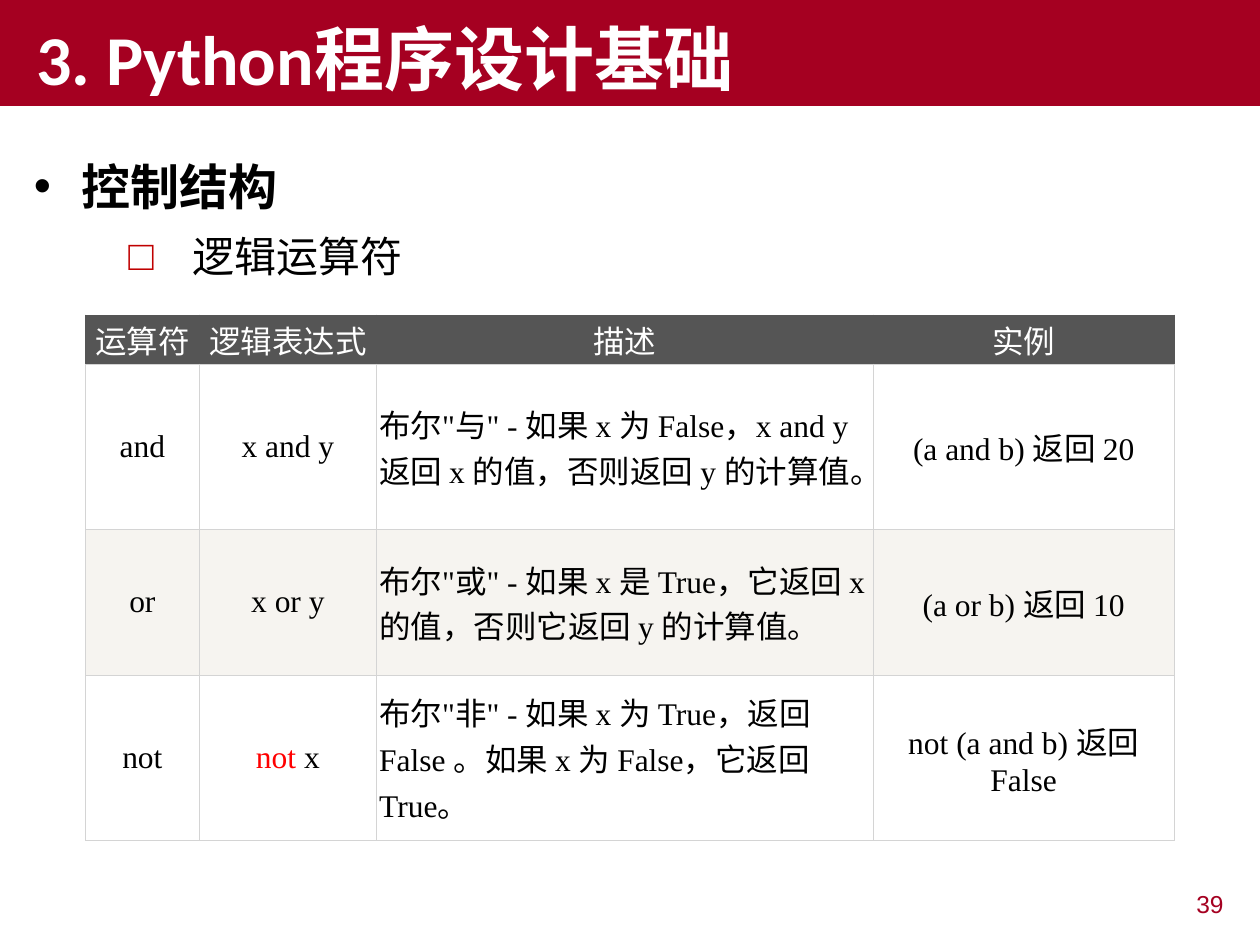
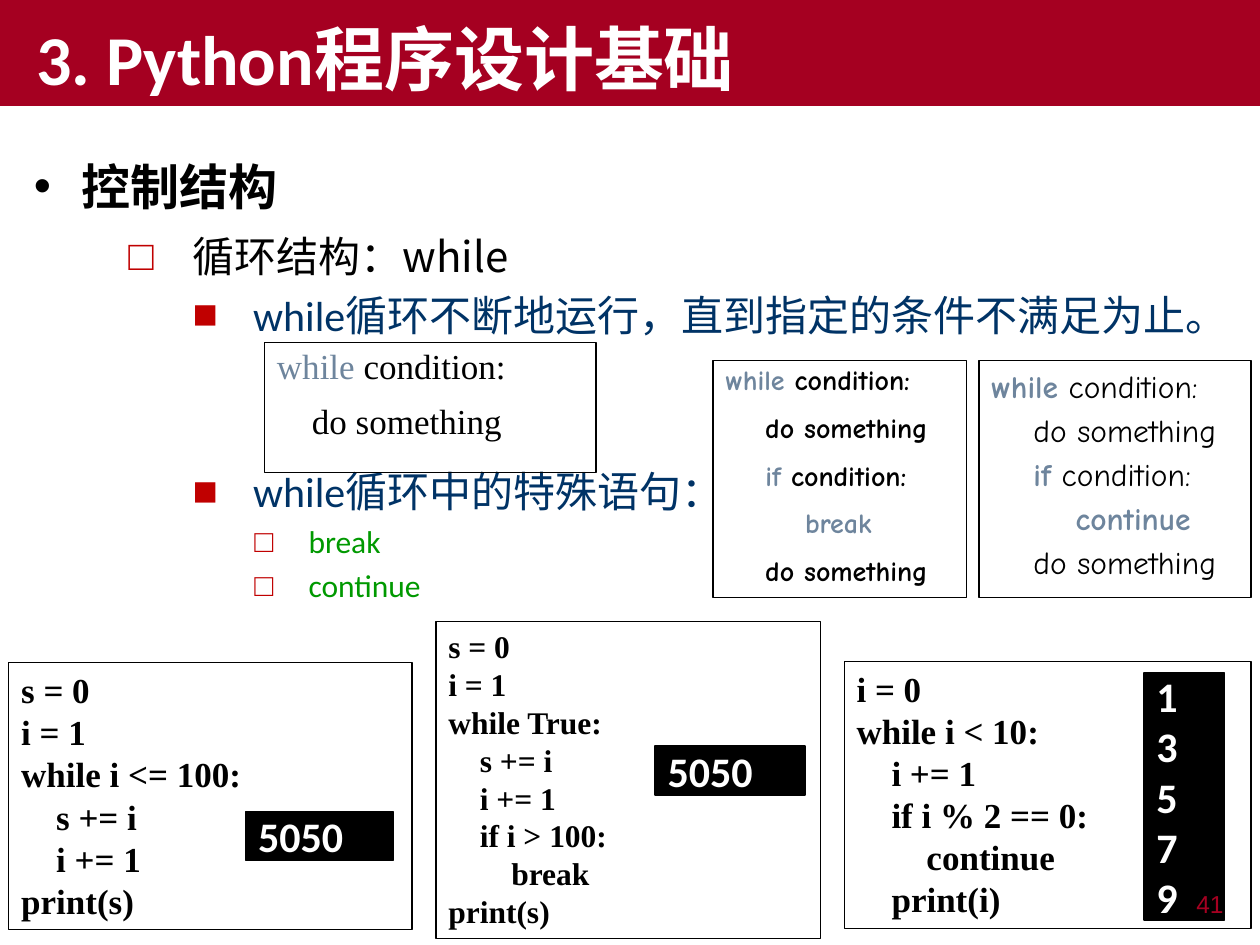
from lxml.etree import SubElement
from pptx import Presentation
from pptx.dml.color import RGBColor
from pptx.enum.shapes import MSO_SHAPE as Preset
from pptx.enum.text import MSO_ANCHOR as Anchor, PP_ALIGN as Align
from pptx.oxml.ns import qn
from pptx.util import Inches, Pt

CRIMSON, BULLET, BLACK, WHITE = "A50021", "C00000", "000000", "FFFFFF"
NAVY, GREEN, STEEL, RED = "003366", "009900", "6E859D", "FF0000"
HEADER, RULE, STRIPE = "555555", "D4D4D4", "F6F4F0"
HAN, SANS, SERIF, COMIC = "Noto Sans CJK SC", "Calibri", "Times New Roman", "Comic Neue"

CHAPTER = "3. Python程序设计基础"
SECTION = "控制结构"

TITLE = dict(font=SANS, size=40, color=WHITE, bold=True, indent=(0, 0.19))
HEADING = dict(font=HAN, size=28, bold=True, indent=(0.38, -0.38), bullet=("•", BLACK))
TOPIC = dict(font=HAN, size=24, indent=(0.51, -0.51), bullet=("□", BULLET))
POINT = dict(font=SANS, east=SANS, size=24, color=NAVY, level=1, before=4.8,
             indent=(0.99, -0.48), bullet=("■", BULLET))
POINT_AFTER_CODE = POINT | dict(before=72)
KEYWORD = dict(font=SANS, east=SANS, size=18, color=GREEN, level=2, before=3.6,
               indent=(1.43, -0.43), bullet=("□", BULLET))
PAGE = dict(font="Arial", size=14, color=CRIMSON, align=Align.RIGHT)
CELL = dict(font=SERIF, size=18)
OUTPUT = dict(font=SANS, size=24, color=WHITE, bold=True)
PROGRAM = dict(font=SERIF, size=20, bold=True, spacing=Pt(24))
PROGRAM_SMALL = PROGRAM | dict(size=18, spacing=Pt(21.6))
SYNTAX = dict(font=SERIF, size=20, spacing=0.9, before=10, accent=dict(color=STEEL))
SYNTAX_BREAK = SYNTAX | dict(font=COMIC, size=16, bold=True)
SYNTAX_CONTINUE = dict(font=COMIC, size=18, before=3.6, accent=dict(color=STEEL, bold=True))

COLUMNS = [0.9, 1.41, 3.94, 2.39]
ROWS = [0.39, 1.31, 1.16, 1.31]
OPERATORS = [
    ["运算符", "逻辑表达式", "描述", "实例"],
    ["and", "x and y",
     '布尔"与" - 如果 x 为 False，x and y 返回 x 的值，否则返回 y 的计算值。',
     "(a and b) 返回 20"],
    ["or", "x or y",
     '布尔"或" - 如果 x 是 True，它返回 x 的值，否则它返回 y 的计算值。',
     "(a or b) 返回 10"],
    ["not", "not x",
     '布尔"非" - 如果 x 为 True，返回 False 。如果 x 为 False，它返回 True。',
     "not (a and b) 返回 False"],
]
NEGATION = "not x"

WHILE_TOPICS = [
    ("循环结构：while", TOPIC),
    ("while循环不断地运行，直到指定的条件不满足为止。", POINT),
    ("while循环中的特殊语句：", POINT_AFTER_CODE),
    ("break", KEYWORD),
    ("continue", KEYWORD),
]

CODE_BOXES = [
    ((2.1, 2.72, 2.63, 1.03), SYNTAX, """while condition:
    do something"""),
    ((7.77, 2.86, 2.16, 1.88), SYNTAX_CONTINUE, """while condition:
    do something
    if condition:
        continue
    do something"""),
    ((5.66, 2.86, 2.01, 1.88), SYNTAX_BREAK, """while condition:
    do something
    if condition:
        break
    do something"""),
    ((6.7, 5.25, 3.23, 2.12), PROGRAM, """i = 0
while i < 10:
    i += 1
    if i % 2 == 0:
        continue
    print(i)"""),
    ((3.46, 4.93, 3.05, 2.52), PROGRAM_SMALL, """s = 0
i = 1
while True:
    s += i
    i += 1
    if i > 100:
        break
print(s)"""),
    ((0.07, 5.26, 3.2, 2.12), PROGRAM, """s = 0
i = 1
while i <= 100:
    s += i
    i += 1
print(s)"""),
]

OUTPUTS = [
    ((9.08, 5.34, 0.64, 1.96), "1\n3\n5\n7\n9"),
    ((5.2, 5.92, 1.19, 0.39), "5050"),
    ((1.95, 6.44, 1.17, 0.39), "5050"),
]

ACCENTED = ["while", "if", "break", "continue", "not"]


def rgb(color):
    return RGBColor.from_string(color)


def assign(target, **values):
    for name, value in values.items():
        setattr(target, name, value)


def add_run(paragraph, text, style):
    run = paragraph.add_run()
    run.text = text
    assign(run.font, name=style["font"], size=Pt(style["size"]), bold=style.get("bold", False))
    run.font.color.rgb = rgb(style.get("color", BLACK))
    SubElement(run.font._element, qn("a:ea"), typeface=style.get("east", HAN))


def add_bullet(paragraph, mark, color):
    props = paragraph._p.get_or_add_pPr()
    SubElement(SubElement(props, qn("a:buClr")), qn("a:srgbClr"), val=color)
    SubElement(props, qn("a:buFont"), typeface="Arial")
    SubElement(props, qn("a:buChar"), char=mark)


def split_accent(text):
    for word in ACCENTED:
        lead, found, rest = text.partition(word)
        if found:
            return [(lead, False), (found, True), (rest, False)]
    return [(text, False)]


def write(frame, lines):
    frame.word_wrap = True
    for number, (text, style) in enumerate(lines):
        paragraph = frame.add_paragraph() if number else frame.paragraphs[0]
        assign(paragraph, level=style.get("level", 0), alignment=style.get("align", Align.LEFT),
               line_spacing=style.get("spacing"),
               space_before=Pt(style.get("before", 0) if number else 0))
        if "indent" in style:
            margin, indent = style["indent"]
            props = paragraph._p.get_or_add_pPr()
            props.set("marL", str(Inches(margin)))
            props.set("indent", str(Inches(indent)))
        if "bullet" in style:
            add_bullet(paragraph, *style["bullet"])
        accent = style.get("accent")
        for part, accented in split_accent(text) if accent else [(text, False)]:
            if part:
                add_run(paragraph, part, style | accent if accented else style)


def add_text(slide, place, lines):
    write(slide.shapes.add_textbox(*map(Inches, place)).text_frame, lines)


def add_box(slide, place, lines, fill=None, line=None, weight=0.75, anchor=Anchor.TOP):
    box = slide.shapes.add_shape(Preset.RECTANGLE, *map(Inches, place))
    box.shadow.inherit = False
    for paint, color in ((box.fill, fill), (box.line.fill, line)):
        if color:
            paint.solid()
            paint.fore_color.rgb = rgb(color)
        else:
            paint.background()
    if line:
        box.line.width = Pt(weight)
    box.text_frame.vertical_anchor = anchor
    write(box.text_frame, lines)


def set_borders(cell, colors):
    props = cell._tc.get_or_add_tcPr()
    for side, color in zip("LRTB", colors):
        edge = SubElement(props, qn(f"a:ln{side}"), w=str(Pt(0.5)))
        SubElement(SubElement(edge, qn("a:solidFill")), qn("a:srgbClr"), val=color)


def add_operator_table(slide):
    place = map(Inches, (0.68, 2.5, sum(COLUMNS), sum(ROWS)))
    table = slide.shapes.add_table(len(ROWS), len(COLUMNS), *place).table
    for column, width in zip(table.columns, COLUMNS):
        column.width = Inches(width)
    for r, (texts, height) in enumerate(zip(OPERATORS, ROWS)):
        table.rows[r].height = Inches(height)
        header = r == 0
        fill = HEADER if header else (STRIPE if r % 2 == 0 else WHITE)
        side, top = Inches(0.01 if header else 0.02), Inches(0.01 if header else 0.03)
        for c, text in enumerate(texts):
            cell = table.cell(r, c)
            assign(cell, margin_left=side, margin_right=side, margin_top=top,
                   margin_bottom=top, vertical_anchor=Anchor.MIDDLE)
            set_borders(cell, [HEADER] * 3 + [RULE] if header else [RULE] * 4)
            cell.fill.solid()
            cell.fill.fore_color.rgb = rgb(fill)
            style = CELL | dict(color=WHITE if header else BLACK,
                                align=Align.LEFT if c == 2 and not header else Align.CENTER)
            if text == NEGATION:
                style["accent"] = dict(color=RED)
            write(cell.text_frame, [(text, style)])


def add_slide(deck):
    slide = deck.slides.add_slide(deck.slide_layouts[6])
    add_box(slide, (0, 0, 10, 0.84), [(CHAPTER, TITLE)], fill=CRIMSON, anchor=Anchor.BOTTOM)
    add_text(slide, (0.17, 1.19, 9.39, 0.57), [(SECTION, HEADING)])
    return slide


def add_page_number(slide, number):
    add_text(slide, (7.64, 7.01, 2.17, 0.39), [(number, PAGE)])


def main():
    deck = Presentation()
    assign(deck, slide_width=Inches(10), slide_height=Inches(7.5))

    logic = add_slide(deck)
    add_text(logic, (0.92, 1.78, 8.89, 0.57), [("逻辑运算符", TOPIC)])
    add_operator_table(logic)
    add_page_number(logic, "39")

    loops = add_slide(deck)
    add_text(loops, (0.92, 1.78, 9.02, 5.3), WHILE_TOPICS)
    for place, style, code in CODE_BOXES:
        add_box(loops, place, [(line, style) for line in code.split("\n")], line=BLACK)
    for place, printed in OUTPUTS:
        add_box(loops, place, [(line, OUTPUT) for line in printed.split("\n")],
                fill=BLACK, line=BLACK, weight=1, anchor=Anchor.MIDDLE)
    add_page_number(loops, "41")

    deck.save("out.pptx")


if __name__ == "__main__":
    main()
